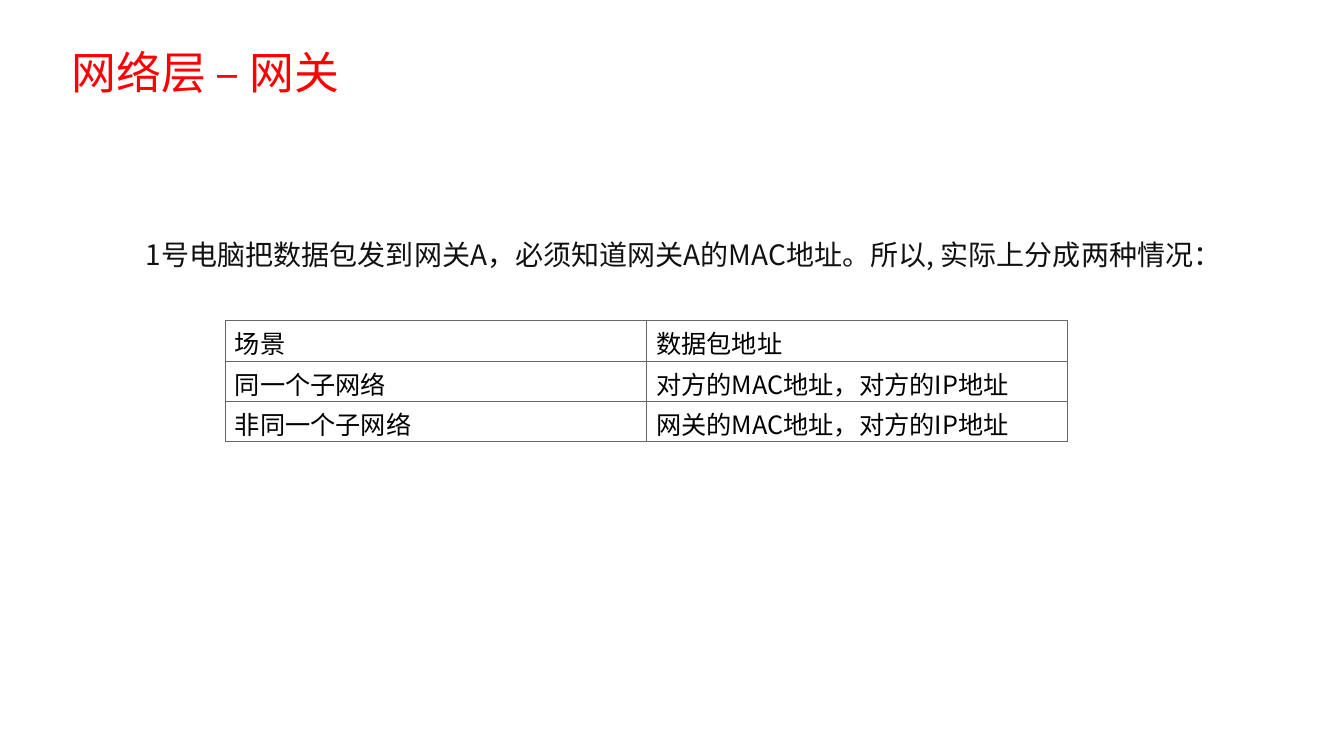
from pptx import Presentation
from pptx.dml.color import RGBColor
from pptx.enum.text import MSO_ANCHOR
from pptx.oxml import parse_xml
from pptx.oxml.ns import nsdecls
from pptx.util import Inches, Pt
from lxml import etree

FONT = "Noto Sans CJK SC"
RED = RGBColor(0xFF, 0x00, 0x00)
DARK = RGBColor(0x11, 0x11, 0x11)
BLACK = RGBColor(0x00, 0x00, 0x00)
WHITE = RGBColor(0xFF, 0xFF, 0xFF)
GREY = RGBColor(0x66, 0x66, 0x66)


def write(tf, text, size, color):
    tf.text = text
    r = tf.paragraphs[0].runs[0]
    r.font.size = Pt(size)
    r.font.name = FONT
    r.font.color.rgb = color
    r.font._element.append(parse_xml(f'<a:ea {nsdecls("a")} typeface="{FONT}"/>'))


def add_borders(cell):
    tcPr = cell._tc.get_or_add_tcPr()
    for i, side in enumerate(("lnL", "lnR", "lnT", "lnB")):
        tcPr.insert(i, etree.fromstring(
            f'<a:{side} {nsdecls("a")} w="{Pt(0.5)}"><a:solidFill>'
            f'<a:srgbClr val="{GREY}"/></a:solidFill></a:{side}>'))


prs = Presentation()
prs.slide_width = Inches(13.33)
prs.slide_height = Inches(7.5)
s = prs.slides.add_slide(prs.slide_layouts[6])

title = s.shapes.add_textbox(Inches(0.61), Inches(0.44), Inches(3.55), Inches(0.64))
tf = title.text_frame
tf.word_wrap = True
tf.margin_top = tf.margin_bottom = 0
write(tf, "网络层 – 网关", 32, RED)

intro = s.shapes.add_textbox(Inches(1.35), Inches(2.33), Inches(10.83), Inches(0.44))
tf = intro.text_frame
tf.word_wrap = True
tf.margin_top = Inches(0.09)
write(tf, "1号电脑把数据包发到网关A，必须知道网关A的MAC地址。所以, 实际上分成两种情况：", 20, DARK)
tf.paragraphs[0].line_spacing = 0.82

rows = [
    ("场景", "数据包地址"),
    ("同一个子网络", "对方的MAC地址，对方的IP地址"),
    ("非同一个子网络", "网关的MAC地址，对方的IP地址"),
]
table = s.shapes.add_table(len(rows), 2, Inches(2.23), Inches(3.18),
                           Inches(8.36), Inches(1.2)).table
for i, row in enumerate(rows):
    for j, text in enumerate(row):
        cell = table.cell(i, j)
        cell.fill.solid()
        cell.fill.fore_color.rgb = WHITE
        cell.vertical_anchor = MSO_ANCHOR.MIDDLE
        cell.margin_top = Inches(0.04)
        cell.margin_bottom = 0
        write(cell.text_frame, text, 18, BLACK)
        add_borders(cell)

prs.save("out.pptx")
